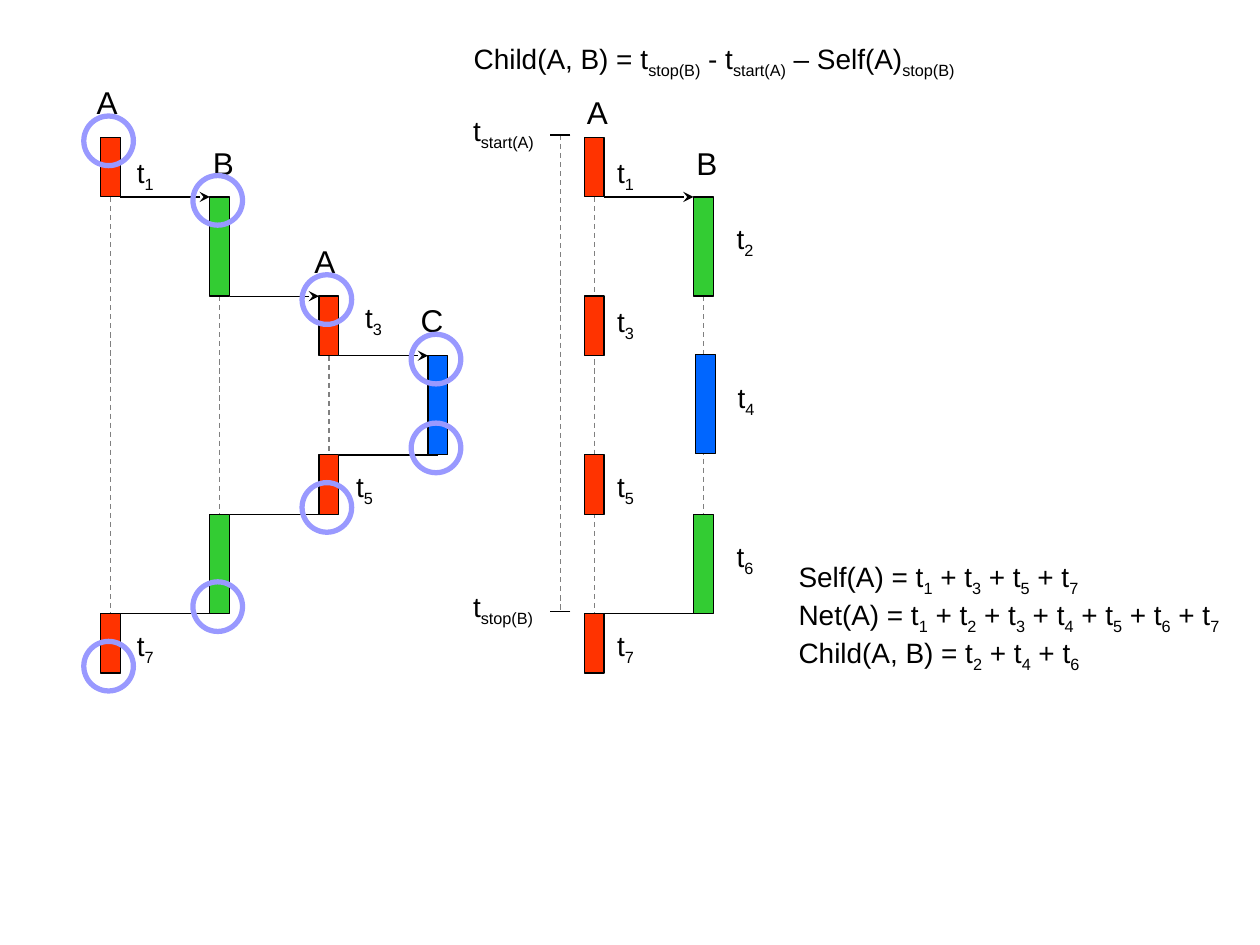
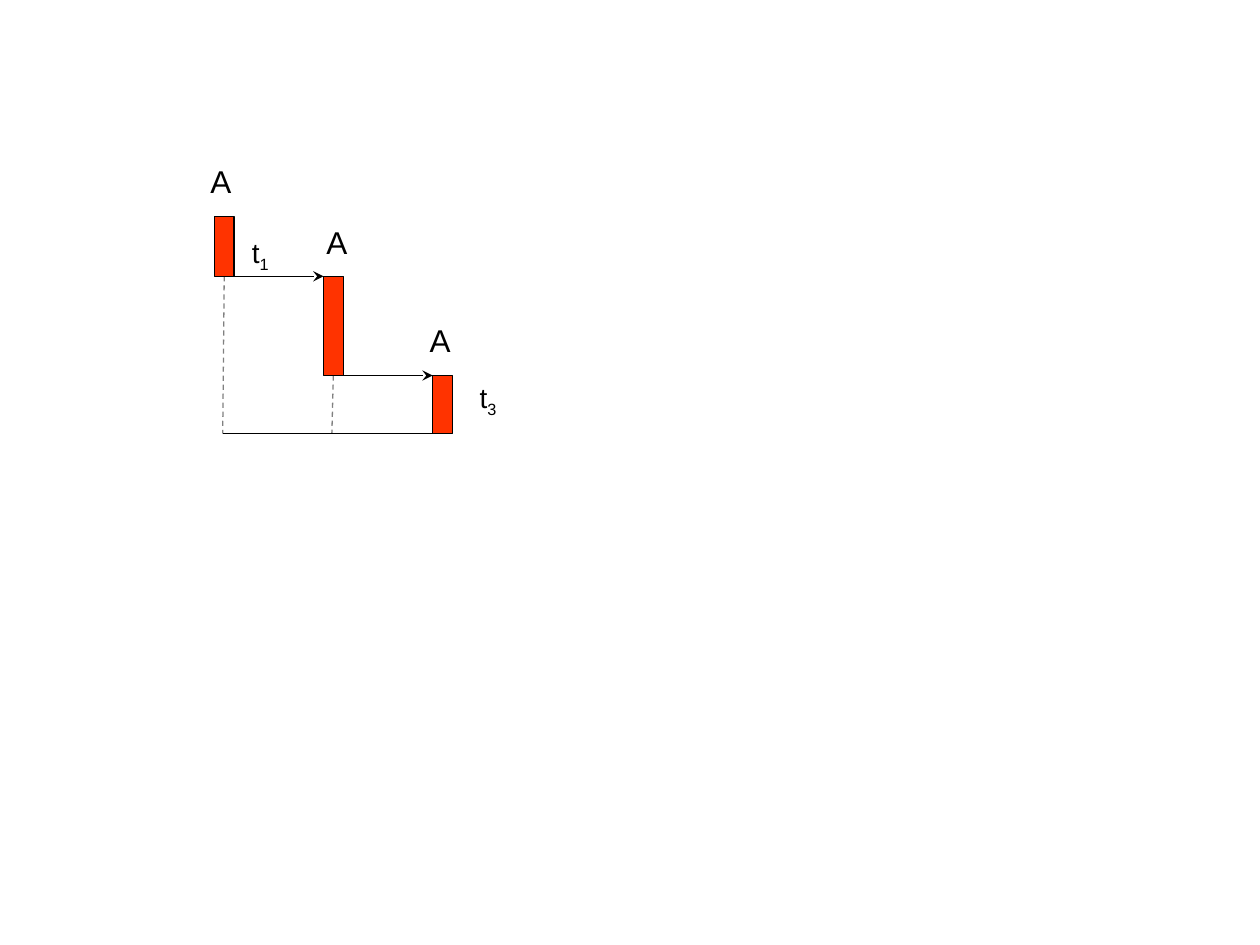
import pptx
import pptx.util
import pptx.dml.color
import pptx.enum.dml
import pptx.enum.shapes
import pptx.enum.text
import pptx.oxml.ns
from lxml import etree

Cm, Pt = pptx.util.Cm, pptx.util.Pt
RGBColor = pptx.dml.color.RGBColor
MSO_SHAPE = pptx.enum.shapes.MSO_SHAPE

RED = RGBColor(0xFF, 0x33, 0x00)
GREEN = RGBColor(0x33, 0xCC, 0x33)
BLUE = RGBColor(0x00, 0x66, 0xFF)
LILAC = RGBColor(0x99, 0x99, 0xFF)
GRAY = RGBColor(0x80, 0x80, 0x80)
BLACK = RGBColor(0, 0, 0)

# All lengths are in centimetres.
BAR_W, COL_STEP, RING = 0.4, 2.2, 1.0
ROWS = (0, 1.2, 3.2, 4.4, 6.4, 7.6, 9.6, 10.8)  # times of calls and returns
NAME = {"w": 0.91, "h": 1.02, "size": 18}
TIME = {"w": 0.84, "h": 1.04, "size": 16}


def add_line(slide, x1, y1, x2, y2, color=BLACK, dashed=False, arrow=False):
    line = slide.shapes.add_connector(
        pptx.enum.shapes.MSO_CONNECTOR.STRAIGHT, Cm(x1), Cm(y1), Cm(x2), Cm(y2))
    line.line.color.rgb = color
    line.line.width = Pt(0.75)
    if dashed:
        line.line.dash_style = pptx.enum.dml.MSO_LINE.DASH
    qn = pptx.oxml.ns.qn
    if arrow:
        etree.SubElement(line.line._get_or_add_ln(), qn("a:tailEnd"), type="stealth")
    etree.SubElement(line._element.spPr, qn("a:effectLst"))


def add_outlined(slide, kind, x, y, w, h, fill=None, color=BLACK, width=0.75):
    sp = slide.shapes.add_shape(kind, Cm(x), Cm(y), Cm(w), Cm(h))
    sp.shadow.inherit = False
    if fill is None:
        sp.fill.background()
    else:
        sp.fill.solid()
        sp.fill.fore_color.rgb = fill
    sp.line.color.rgb = color
    sp.line.width = Pt(width)


def add_text(slide, x, y, w, h, *lines, size=16, wrap=False):
    """Write lines in which each part between bars, as in t|1|, is a subscript."""
    tf = slide.shapes.add_textbox(Cm(x), Cm(y), Cm(w), Cm(h)).text_frame
    tf.word_wrap = wrap
    tf.auto_size = pptx.enum.text.MSO_AUTO_SIZE.SHAPE_TO_FIT_TEXT
    font = {"name": "Arial", "size": Pt(size)}
    for i, line in enumerate(lines):
        p = tf.add_paragraph() if i else tf.paragraphs[0]
        for j, part in enumerate(line.split("|")):
            if not part:
                continue
            r = p.add_run()
            r.text = part
            for key, value in font.items():
                setattr(r.font, key, value)
            r.font.color.rgb = BLACK
            if j % 2:
                r.font._element.set("baseline", "-25000")


def add_labels(slide, left, top, labels, w, h, size):
    for text, x, y in labels:
        add_text(slide, left + x, top + y, w, h, text, size=size)


def add_bars(slide, left, top, bars):
    """Draw bars given as (column, start, end, colour)."""
    for col, start, end, color in bars:
        add_outlined(slide, MSO_SHAPE.RECTANGLE, left + col * COL_STEP, top + start,
                     BAR_W, end - start, color)


def add_lifeline(slide, left, top, col, start, end, slant=0):
    x = left + col * COL_STEP + BAR_W / 2
    add_line(slide, x, top + start, x - slant, top + end, GRAY, dashed=True)


def add_call(slide, left, top, col, y):
    """Draw an arrow from a column to the next one."""
    x = left + col * COL_STEP
    add_line(slide, x + BAR_W, top + y, x + COL_STEP, top + y, arrow=True)


def add_return(slide, left, top, col, y):
    """Draw a line from the middle of the next column back to this one."""
    x = left + col * COL_STEP
    add_line(slide, x + COL_STEP + BAR_W / 2, top + y, x + BAR_W, top + y)


def add_call_tree(slide, left, top):
    colors = (RED, GREEN, RED, BLUE)
    last = len(colors) - 1
    bars = []
    for col, color in enumerate(colors):
        bars.append((col, ROWS[col], ROWS[col + 1], color))
        if col < last:
            bars.append((col, ROWS[-2 - col], ROWS[-1 - col], color))
            add_lifeline(slide, left, top, col, ROWS[col + 1], ROWS[-2 - col])
    add_bars(slide, left, top, bars)
    for col in range(last):
        add_call(slide, left, top, col, ROWS[col + 1])
        add_return(slide, left, top, col, ROWS[-2 - col])
    names = [("A", -0.33, -1.22), ("B", 2.01, 0), ("A", 4.06, 1.98), ("C", 6.2, 3.17)]
    times = [("t|1", 0.48, 0.25), ("t|3", 5.08, 3.17), ("t|5", 4.9, 6.58),
             ("t|7", 0.48, 9.78)]
    add_labels(slide, left, top, names, **NAME)
    add_labels(slide, left, top, times, **TIME)
    for col in range(len(colors)):
        for y in (ROWS[col] - 0.43, ROWS[-1 - col] - 0.64):
            add_outlined(slide, MSO_SHAPE.OVAL, left + col * COL_STEP - 0.34, top + y,
                         RING, RING, color=LILAC, width=3)


def add_time_bracket(slide, left, top):
    start, end = -0.05, 9.55
    add_line(slide, left - 0.48, top + start, left - 0.48, top + end, GRAY, dashed=True)
    for y, text in ((start, "t|start(A)"), (end, "t|stop(B)")):
        add_line(slide, left - 0.28, top + y, left - 0.69, top + y)
        add_text(slide, left - 2.49, top + y - 0.55, 2.01, 1.04, text, wrap=True)


def add_merged_tree(slide, left, top):
    add_lifeline(slide, left, top, 0, ROWS[1], ROWS[-2])
    add_lifeline(slide, left, top, 1, ROWS[2], ROWS[-3])
    add_bars(slide, left, top,
             [(0, ROWS[i], ROWS[i + 1], RED) for i in (0, 2, 4, 6)]
             + [(1, ROWS[i], ROWS[i + 1], GREEN) for i in (1, 5)])
    add_bars(slide, left + 0.04, top - 0.02, [(1, ROWS[3], ROWS[4], BLUE)])
    add_call(slide, left, top, 0, ROWS[1])
    add_return(slide, left, top, 0, ROWS[-2])
    names = [("A", -0.2, -1.02), ("B", 2.01, 0)]
    times = [("t|1", 0.41, 0.25), ("t|2", 2.82, 1.57), ("t|3", 0.41, 3.25),
             ("t|4", 2.84, 4.78), ("t|5", 0.41, 6.58), ("t|6", 2.82, 7.98),
             ("t|7", 0.41, 9.78)]
    add_labels(slide, left, top, names, **NAME)
    add_labels(slide, left, top, times, **TIME)
    add_time_bracket(slide, left, top)


def add_formulas(slide):
    add_text(slide, 9.3, 0.71, 12.8, 1.04,
             "Child(A, B) = t|stop(B)| - t|start(A)| – Self(A)|stop(B)", wrap=True)
    sums = (("Self(A)", "1357"), ("Net(A)", "1234567"), ("Child(A, B)", "246"))
    add_text(slide, 15.85, 11.15, 8.99, 2.57,
             *(f"{name} = " + " + ".join(f"t|{n}|" for n in parts)
               for name, parts in sums))


def add_recursion(slide, left, top):
    end = 4.37
    for col in (0, 1):
        add_lifeline(slide, left, top, col, ROWS[col + 1], end, slant=0.03)
    add_bars(slide, left, top,
             [(col, ROWS[col], min(ROWS[col + 1], end), RED) for col in range(3)])
    for col in (0, 1):
        add_call(slide, left, top, col, ROWS[col + 1])
    add_line(slide, left + 2 * COL_STEP + BAR_W, top + end, left + 0.17, top + end)
    names = [("A", -0.33, -1.22), ("A", 2.01, 0), ("A", 4.09, 1.98)]
    times = [("t|1", 0.51, 0.25), ("t|3", 5.1, 3.17)]
    add_labels(slide, left, top, names, **NAME)
    add_labels(slide, left, top, times, **TIME)


def main():
    prs = pptx.Presentation()
    prs.slide_width, prs.slide_height = Cm(25.4), Cm(19.05)
    blank = prs.slide_layouts[6]

    slide = prs.slides.add_slide(blank)
    add_call_tree(slide, 2.03, 2.77)
    add_merged_tree(slide, 11.78, 2.77)
    add_formulas(slide)

    add_recursion(prs.slides.add_slide(blank), 4.32, 4.37)
    prs.save("out.pptx")


if __name__ == "__main__":
    main()
